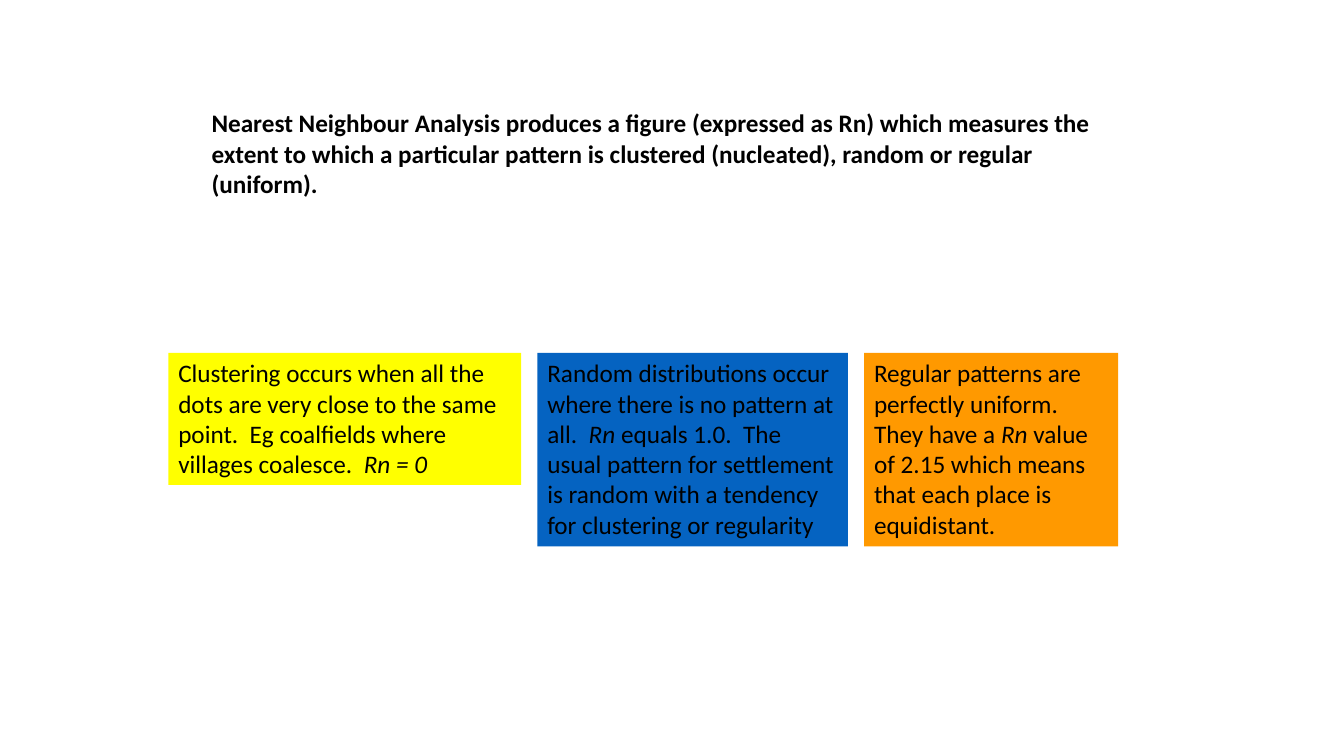
"""Build a slide on Nearest Neighbour Analysis and its three settlement patterns."""
from pptx import Presentation
from pptx.dml.color import RGBColor
from pptx.enum.shapes import MSO_SHAPE
from pptx.enum.text import MSO_ANCHOR, PP_ALIGN
from pptx.util import Inches, Pt

RECTANGLE = MSO_SHAPE.RECTANGLE
TOP = MSO_ANCHOR.TOP
LEFT = PP_ALIGN.LEFT
BLACK = RGBColor(0x00, 0x00, 0x00)
YELLOW = RGBColor(0xFF, 0xFF, 0x00)
BLUE = RGBColor(0x05, 0x63, 0xC1)
ORANGE = RGBColor(0xFF, 0x99, 0x00)

BODY_FONT = {"name": "Calibri", "size": Pt(18), "bold": False, "italic": False}
PATTERN_LEFT = 1.67
PATTERN_TOP = 3.5
PATTERN_GAP = 0.16

PATTERNS = [
    (3.5, 1.31, YELLOW, [
        ("Clustering occurs when all the dots are very close to the same point.  "
         "Eg coalfields where villages coalesce.  ", {}),
        ("Rn = 0", {"italic": True}),
    ]),
    (3.08, 1.92, BLUE, [
        ("Random distributions occur where there is no pattern at all.  ", {}),
        ("Rn ", {"italic": True}),
        ("equals 1.0.  The usual pattern for settlement is random with a tendency "
         "for clustering or regularity", {}),
    ]),
    (2.52, 1.92, ORANGE, [
        ("Regular patterns are perfectly uniform.  They have a ", {}),
        ("Rn ", {"italic": True}),
        ("value of 2.15 which means that each place is equidistant.", {}),
    ]),
]


def write_text(frame, passages):
    """Fill a frame with one left-aligned paragraph of formatted passages."""
    frame.word_wrap = True
    frame.vertical_anchor = TOP
    paragraph = frame.paragraphs[0]
    paragraph.alignment = LEFT
    for wording, emphasis in passages:
        run = paragraph.add_run()
        run.text = wording
        run.font.color.rgb = BLACK
        for attribute, value in {**BODY_FONT, **emphasis}.items():
            setattr(run.font, attribute, value)


prs = Presentation()
prs.slide_width = Inches(13.33)
prs.slide_height = Inches(7.5)
slide = prs.slides.add_slide(prs.slide_layouts[6])

definition = slide.shapes.add_textbox(Inches(2), Inches(1.02), Inches(9.17), Inches(1.02))
write_text(definition.text_frame, [
    ("Nearest Neighbour Analysis produces a figure (expressed as Rn) which measures "
     "the extent to which a particular pattern is clustered (nucleated), random or "
     "regular (uniform).", {"bold": True}),
])

left = PATTERN_LEFT
for width, height, colour, passages in PATTERNS:
    pattern = slide.shapes.add_shape(
        RECTANGLE, Inches(left), Inches(PATTERN_TOP), Inches(width), Inches(height))
    pattern.shadow.inherit = False
    pattern.fill.solid()
    pattern.fill.fore_color.rgb = colour
    pattern.line.fill.background()
    write_text(pattern.text_frame, passages)
    left += width + PATTERN_GAP

prs.save("out.pptx")
